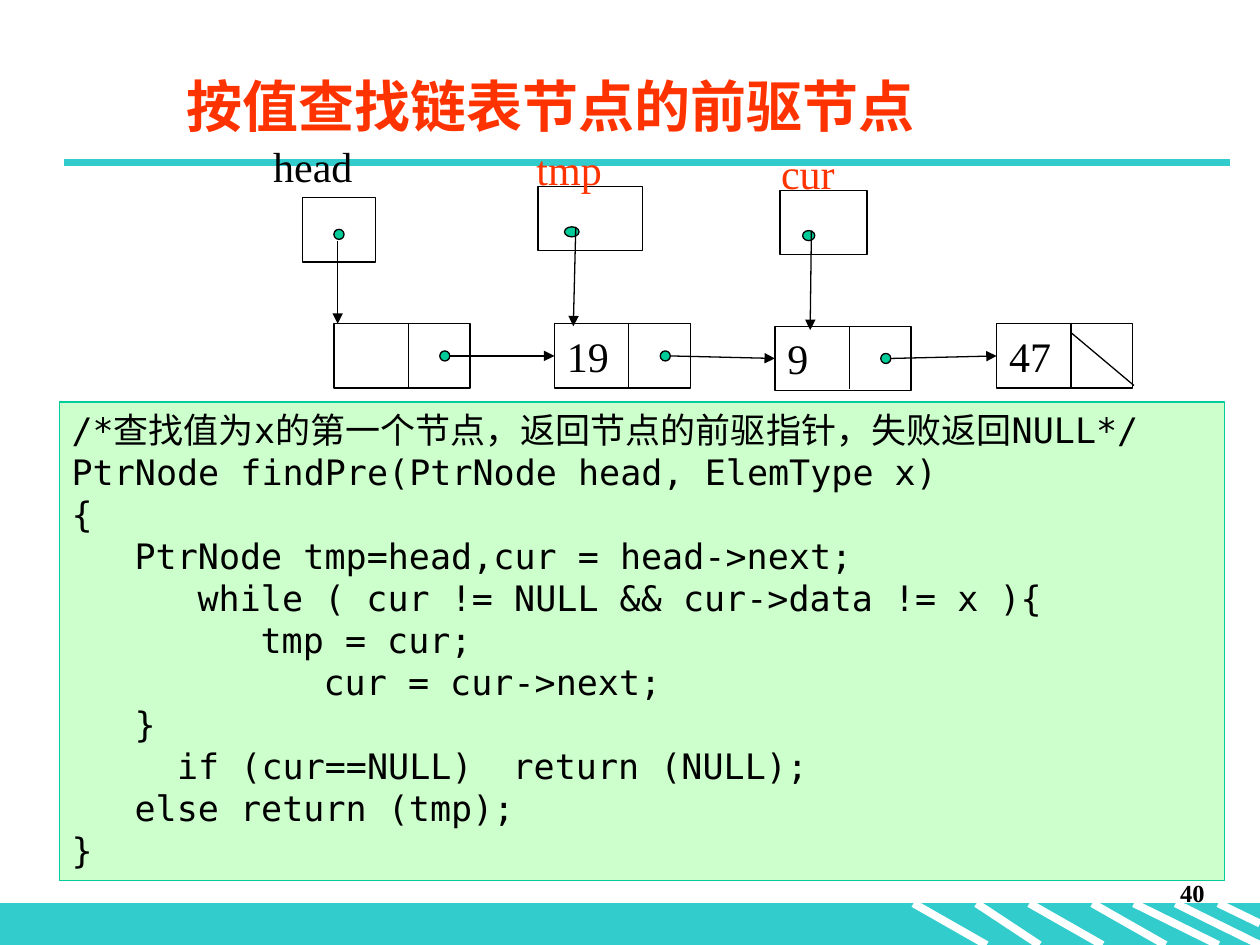
from lxml import etree
from pptx import Presentation
from pptx.dml.color import RGBColor
from pptx.enum.shapes import MSO_CONNECTOR, MSO_SHAPE
from pptx.enum.text import MSO_ANCHOR, MSO_AUTO_SIZE, PP_ALIGN
from pptx.oxml.ns import qn
from pptx.util import Inches, Pt

RECT, OVAL = MSO_SHAPE.RECTANGLE, MSO_SHAPE.OVAL
LINE = MSO_CONNECTOR.STRAIGHT
TOP, MID = MSO_ANCHOR.TOP, MSO_ANCHOR.MIDDLE
LEFT, RIGHT = PP_ALIGN.LEFT, PP_ALIGN.RIGHT
FIXED = MSO_AUTO_SIZE.NONE
TEAL = RGBColor(0x33, 0xCC, 0xCC)
GREEN = RGBColor(0x00, 0xCC, 0x99)
MINT = RGBColor(0xCC, 0xFF, 0xCC)
RED = RGBColor(0xFF, 0x33, 0x00)
BLACK = RGBColor(0, 0, 0)
WHITE = RGBColor(255, 255, 255)
SERIF, MONO, HAN = "Times New Roman", "DejaVu Sans Mono", "Noto Sans CJK SC"

WIDE, HIGH = 10, 7.5
BAND = 7.17
TITLE = "按值查找链表节点的前驱节点"
PAGE = "40"
CODE = [
    "/*查找值为x的第一个节点，返回节点的前驱指针，失败返回NULL*/",
    "PtrNode findPre(PtrNode head, ElemType x)",
    "{",
    "\tPtrNode tmp=head,cur = head->next;",
    "   \twhile ( cur != NULL && cur->data != x ){",
    "\t\t\ttmp = cur;",
    "        \t\tcur = cur->next;",
    "\t}",
    "     if (cur==NULL)\treturn (NULL);",
    "\telse return (tmp);",
    "}",
]
STRIPES = [(7.25, 7.83), (7.75, 8.25), (8.17, 8.75), (8.67, 9.25),
           (9, 9.67), (9.33, 10), (9.67, 10)]
NODES = [("", 2.65, 2.57), ("19", 4.4, 2.57), ("9", 6.15, 2.59), ("47", 7.91, 2.57)]
NODE_W, NODE_H, SPLIT, DOT = 1.08, 0.51, 0.59, 0.08
POINTERS = [
    dict(name="head", ink=BLACK, box=(2.4, 1.57, 0.58), tag=(2.07, 1.07, 1.33),
         dot=(2.65, 1.82), start=(2.68, 1.91), end=(2.68, 2.57)),
    dict(name="tmp", ink=RED, box=(4.27, 1.48, 0.83), tag=(4.16, 1.09, 0.83),
         dot=(4.48, 1.8), start=(4.57, 1.8), end=(4.55, 2.59)),
    dict(name="cur", ink=RED, box=(6.19, 1.51, 0.69), tag=(6.1, 1.12, 0.69),
         dot=(6.37, 1.83), start=(6.44, 1.83), end=(6.43, 2.62)),
]

deck = Presentation()
deck.slide_width, deck.slide_height = Inches(WIDE), Inches(HIGH)
slide = deck.slides.add_slide(deck.slide_layouts[5])
shapes = slide.shapes


def write(shape, text, size=24, font=SERIF, ink=BLACK, bold=False,
          align=LEFT, anchor=TOP, pitch=None):
    frame = shape.text_frame
    frame.word_wrap = True
    frame.auto_size = FIXED
    frame.vertical_anchor = anchor
    frame.text = text
    for para in frame.paragraphs:
        para.alignment = align
        if pitch:
            para.line_spacing = Pt(pitch)
        for run in para.runs:
            run.font.size = Pt(size)
            run.font.name = font
            run.font.bold = bold
            run.font.color.rgb = ink
            east = etree.SubElement(run.font._element, qn("a:ea"))
            east.set("typeface", HAN)


def draw(kind, x, y, w, h, fill=None, edge=BLACK):
    shape = shapes.add_shape(kind, Inches(x), Inches(y), Inches(w), Inches(h))
    shape.shadow.inherit = False
    if fill is None:
        shape.fill.background()
    else:
        shape.fill.solid()
        shape.fill.fore_color.rgb = fill
    shape.line.color.rgb = edge
    shape.line.width = Pt(0.75)
    return shape


def link(start, end, ink=BLACK, width=0.75, arrow=False):
    line = shapes.add_connector(LINE, *map(Inches, (*start, *end)))
    line.line.color.rgb = ink
    line.line.width = Pt(width)
    etree.SubElement(line._element.spPr, qn("a:effectLst"))
    if arrow:
        tip = etree.SubElement(line.line._get_or_add_ln(), qn("a:tailEnd"))
        tip.set("type", "triangle")
    return line


def label(text, x, y, w, h, **style):
    box = shapes.add_textbox(Inches(x), Inches(y), Inches(w), Inches(h))
    write(box, text, **style)


draw(RECT, 0, BAND, WIDE, HIGH - BAND, TEAL, TEAL)
for left, right in STRIPES:
    low = 7.33 if left == STRIPES[-1][0] else HIGH
    link((left, BAND), (right, low), WHITE, 4.5)
link((0.51, 1.29), (9.76, 1.29), TEAL, 4.5)

title = shapes.title
title.left, title.top = Inches(1.38), Inches(0.44)
title.width, title.height = Inches(8.5), Inches(0.79)
write(title, TITLE, size=32, font=HAN, ink=RED, bold=True, anchor=MID)
label(PAGE, 7.58, 6.92, 2.08, 0.5, size=14, bold=True, align=RIGHT)

cells = []
for text, x, y in NODES:
    cell = draw(RECT, x, y, NODE_W, NODE_H)
    if text:
        write(cell, text)
    link((x + SPLIT, y), (x + SPLIT, y + 0.5))
    cells.append(cell)

for (text, x, y), after in zip(NODES, cells[1:]):
    mid = y + NODE_H / 2
    dot = x + 0.84
    arrow = link((dot + DOT, mid), (dot + 0.91, mid), arrow=True)
    arrow.end_connect(after, 1)
    draw(OVAL, dot, mid - DOT / 2, DOT, DOT, GREEN)
link((8.5, 2.64), (9, 3.06))

for item in POINTERS:
    x, y, w = item["box"]
    draw(RECT, x, y, w, NODE_H)
    label(item["name"], *item["tag"], 0.5, ink=item["ink"])
    draw(OVAL, *item["dot"], w * 0.14, DOT, GREEN)
    link(item["start"], item["end"], arrow=True)

panel = draw(RECT, 0.47, 3.19, 9.25, 3.8, MINT, GREEN)
write(panel, "\n".join(CODE), size=20, font=MONO, pitch=24)

deck.save("out.pptx")
